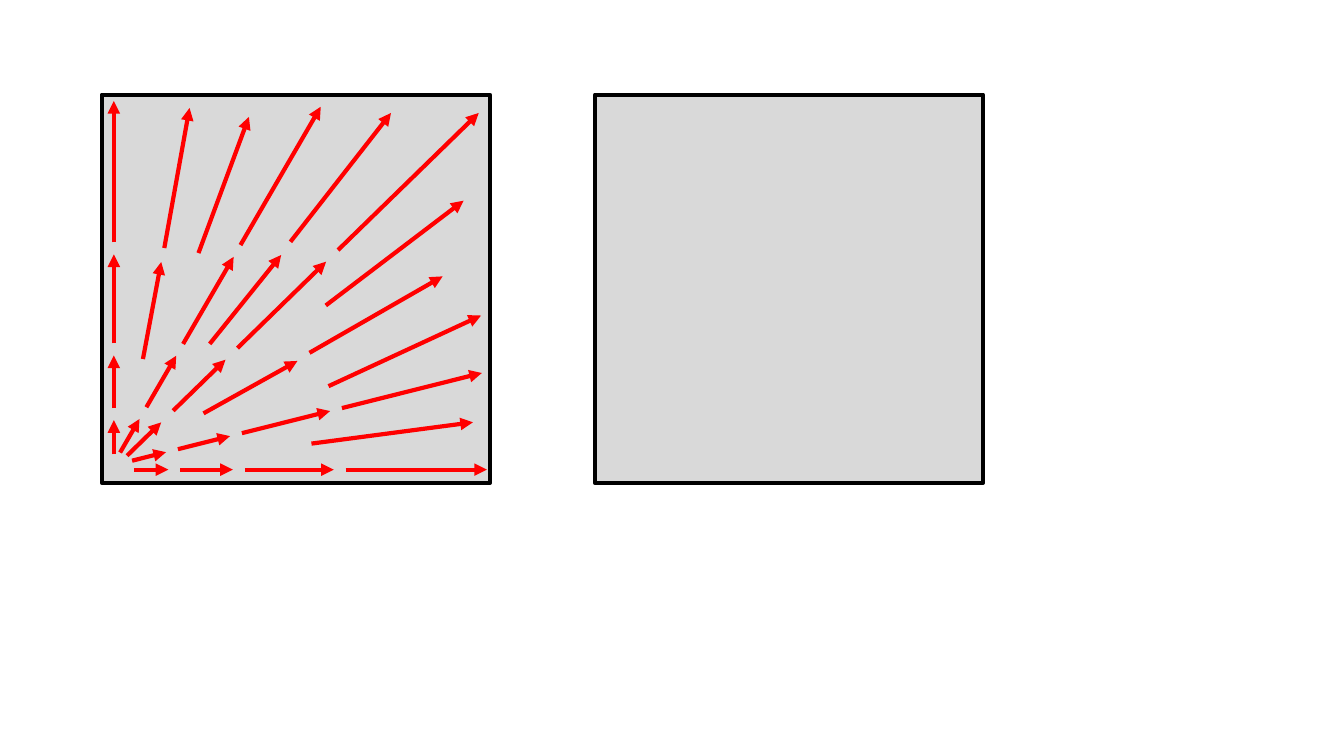
"""Two square panels, the left one holding a diverging field of arrows."""
from dataclasses import dataclass

import pptx
import pptx.dml.color
import pptx.enum.shapes
import pptx.oxml
import pptx.oxml.ns
import pptx.util


@dataclass(frozen=True)
class Theme:
    """Colours and line width of the slide."""
    panel: str = "D9D9D9"
    border: str = "000000"
    arrow: str = "FF0000"
    stroke: float = 3


THEME = Theme()
SLIDE_SIZE = (13.33, 7.5)
SIDE = 3.85
PANEL_TOP = 0.94
FIELD_LEFT, EMPTY_LEFT = 1.01, 5.9

RAY_STEPS = ((0, 0.097), (0.131, 0.28), (0.314, 0.566), (0.6, 1))

# Points are percentages of the panel's side: x1, y1, x2, y2.
RAYS = (
    (8.3, 96.6, 99.2, 96.6),
    (4.7, 92.2, 56.4, 3.1),
    (3.1, 92.7, 3.1, 1.6),
    (7.8, 94.3, 97.9, 71.7),
    (6.5, 93, 97.1, 4.7),
)
SINGLE_ARROWS = (
    (48.6, 37.9, 74.5, 4.7),
    (27.8, 64.2, 46.2, 41.3),
    (53.5, 66.5, 87.8, 46.8),
    (26.2, 82.1, 50.4, 68.6),
    (16.1, 39.5, 22.6, 3.4),
    (10.6, 68.1, 15.3, 43.1),
    (24.9, 40.8, 37.9, 5.7),
    (57.7, 54.3, 93.2, 27.3),
    (58.4, 75.1, 97.7, 56.9),
    (54, 89.9, 95.6, 84.4),
)


def set_line(line, color):
    """Give a line its colour and the theme's width."""
    line.color.rgb = pptx.dml.color.RGBColor.from_string(color)
    line.width = pptx.util.Pt(THEME.stroke)


def add_panel(shapes, left):
    """Draw one square panel at the given left edge."""
    square = pptx.enum.shapes.MSO_SHAPE.RECTANGLE
    box = (pptx.util.Inches(v) for v in (left, PANEL_TOP, SIDE, SIDE))
    panel = shapes.add_shape(square, *box)
    panel.shadow.inherit = False
    panel.fill.solid()
    panel.fill.fore_color.rgb = pptx.dml.color.RGBColor.from_string(THEME.panel)
    set_line(panel.line, THEME.border)


def add_arrow(shapes, x1, y1, x2, y2):
    """Draw an arrow between two points given in percent of the field."""
    points = (FIELD_LEFT + SIDE * x1 / 100, PANEL_TOP + SIDE * y1 / 100,
              FIELD_LEFT + SIDE * x2 / 100, PANEL_TOP + SIDE * y2 / 100)
    arrow = shapes.add_connector(pptx.enum.shapes.MSO_CONNECTOR.STRAIGHT,
                                 *(pptx.util.Inches(v) for v in points))
    set_line(arrow.line, THEME.arrow)
    properties = arrow._element.spPr
    head = pptx.oxml.ns.qn("a:tailEnd")
    arrow.line._get_or_add_ln().append(
        properties.makeelement(head, {"type": "triangle"}))
    properties.append(
        properties.makeelement(pptx.oxml.ns.qn("a:effectLst"), {}))


def add_ray(shapes, x1, y1, x2, y2):
    """Draw a row of arrows growing in length along one ray."""
    dx, dy = x2 - x1, y2 - y1
    for start, end in RAY_STEPS:
        add_arrow(shapes, x1 + dx * start, y1 + dy * start,
                  x1 + dx * end, y1 + dy * end)


def main():
    """Build the slide and save it."""
    deck = pptx.Presentation()
    deck.slide_width, deck.slide_height = map(pptx.util.Inches, SLIDE_SIZE)
    slide = deck.slides.add_slide(deck.slide_layouts[6])
    field = slide.shapes.add_group_shape().shapes
    add_panel(field, FIELD_LEFT)
    for ray in RAYS:
        add_ray(field, *ray)
    for single in SINGLE_ARROWS:
        add_arrow(field, *single)
    add_panel(slide.shapes, EMPTY_LEFT)
    deck.save("out.pptx")


if __name__ == "__main__":
    main()
